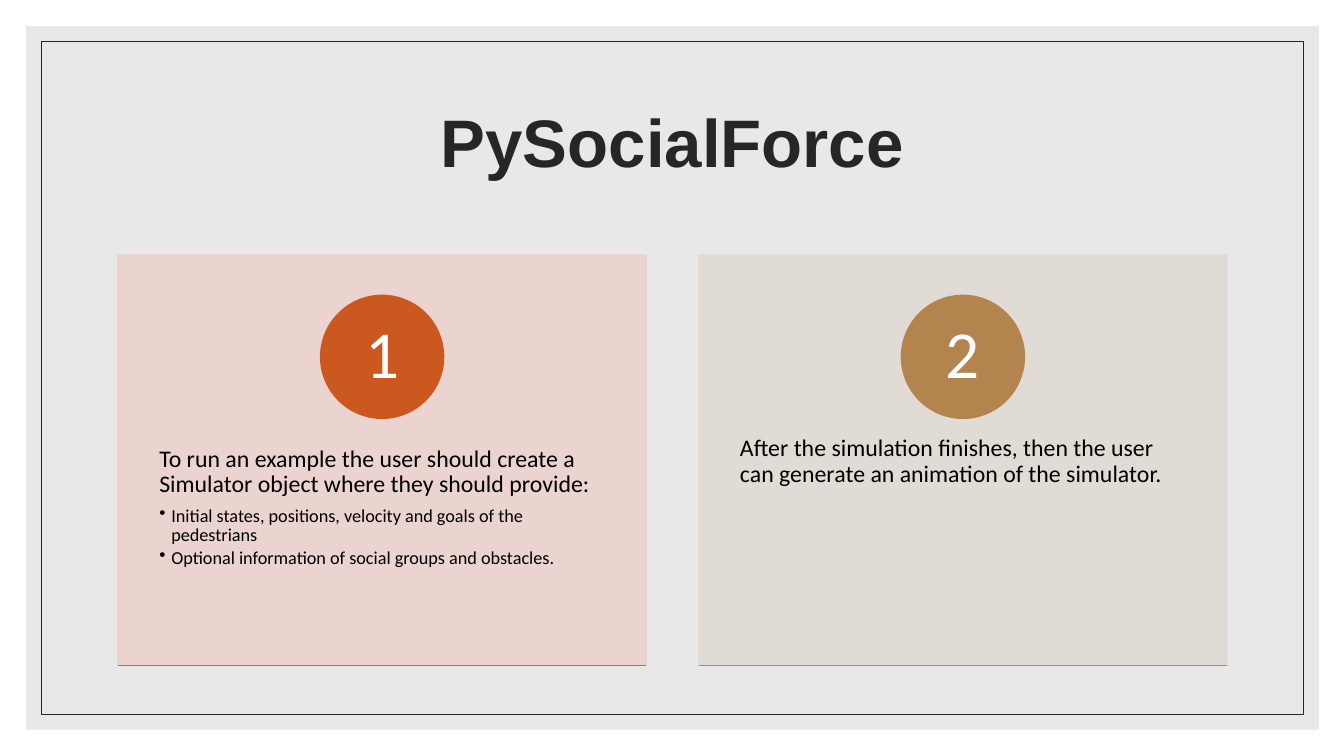
import pptx
import pptx.dml.color
import pptx.enum.shapes
import pptx.enum.text
import pptx.oxml
import pptx.oxml.ns
import pptx.util

Inches = pptx.util.Inches
Pt = pptx.util.Pt
ALIGN = pptx.enum.text.PP_ALIGN
ANCHOR = pptx.enum.text.MSO_ANCHOR
SHAPE = pptx.enum.shapes.MSO_SHAPE

COLOURS = {
    "white": "FFFFFF", "black": "000000", "ink": "262626", "panel": "D9D9D9",
    "pink": "ECD1CD", "orange": "CB581F", "copper": "C07235",
    "stone": "E0DBD4", "tan": "B3844E", "olive": "A28E6A",
}

STEPS = [
    ("1", "pink", "orange", "copper",
     "To run an example the user should create a Simulator object where they should provide:",
     ["Initial states, positions, velocity and goals of the pedestrians",
      "Optional information of social groups and obstacles."]),
    ("2", "stone", "tan", "olive",
     "After the simulation finishes, then the user can generate an animation of the simulator.",
     []),
]

CARD_LEFT, CARD_TOP, CARD_WIDTH, CARD_HEIGHT = 1.17, 2.53, 5.24, 4.07
CARD_PITCH = 5.76
CIRCLE_SIZE = 1.22


class SlideBuilder:
    def __init__(self, slide, font="Calibri"):
        self.slide = slide
        self.font = font

    def colour(self, name):
        return pptx.dml.color.RGBColor.from_string(COLOURS[name])

    def fade(self, part, alpha):
        for colour in part.iter(pptx.oxml.ns.qn("a:srgbClr")):
            colour.append(pptx.oxml.parse_xml(
                f'<a:alpha {pptx.oxml.ns.nsdecls("a")} val="{alpha * 1000}"/>'))

    def shape(self, kind, left, top, width, height, fill=None, line=None, weight=1, alpha=100):
        shape = self.slide.shapes.add_shape(
            kind, Inches(left), Inches(top), Inches(width), Inches(height))
        shape.shadow.inherit = False
        if fill:
            shape.fill.solid()
            shape.fill.fore_color.rgb = self.colour(fill)
        else:
            shape.fill.background()
        if line:
            shape.line.color.rgb = self.colour(line)
            shape.line.width = Pt(weight)
        else:
            shape.line.fill.background()
        if alpha < 100:
            self.fade(shape.element.spPr, alpha)
        return shape

    def rule(self, left, top, width, colour):
        line = self.slide.shapes.add_connector(
            pptx.enum.shapes.MSO_CONNECTOR.STRAIGHT,
            Inches(left), Inches(top), Inches(left + width), Inches(top))
        line.line.color.rgb = self.colour(colour)
        line.line.width = Pt(1)
        line.element.spPr.append(pptx.oxml.parse_xml(
            f'<a:effectLst {pptx.oxml.ns.nsdecls("a")}/>'))

    def text_box(self, left, top, width, height, inset_x, inset_y, anchor=ANCHOR.TOP):
        box = self.slide.shapes.add_textbox(
            Inches(left), Inches(top), Inches(width), Inches(height))
        self.frame(box.text_frame, inset_x, inset_y, anchor)
        return box

    def frame(self, frame, inset_x, inset_y, anchor):
        frame.word_wrap = True
        frame.vertical_anchor = anchor
        frame.margin_left = frame.margin_right = Inches(inset_x)
        frame.margin_top = frame.margin_bottom = Inches(inset_y)

    def paragraph(self, para, text, size, colour, align=ALIGN.LEFT, after=0, bold=False, font=None):
        para.text = text
        para.alignment = align
        para.line_spacing = 0.9
        para.space_after = Pt(after)
        for span in para.runs:
            span.font.name = font or self.font
            span.font.size = Pt(size)
            span.font.bold = bold
            span.font.color.rgb = self.colour(colour)

    def bullet(self, para, text):
        self.paragraph(para, text, 13, "black", after=2)
        para.level = 1
        props = para._p.get_or_add_pPr()
        props.set("marL", str(Inches(0.12)))
        props.set("indent", str(-Inches(0.12)))
        props.append(pptx.oxml.parse_xml(
            f'<a:buChar {pptx.oxml.ns.nsdecls("a")} char="•"/>'))

    def card(self, left, number, fill, accent, base, lead, points):
        self.shape(SHAPE.RECTANGLE, left, CARD_TOP, CARD_WIDTH, CARD_HEIGHT,
                   fill, fill, alpha=90)
        box = self.text_box(left, 4.07, CARD_WIDTH, 2.44, 0.41, 0.36)
        self.paragraph(box.text_frame.paragraphs[0], lead, 17, "black", after=6)
        for point in points:
            self.bullet(box.text_frame.add_paragraph(), point)
        circle = self.shape(SHAPE.OVAL, left + (CARD_WIDTH - CIRCLE_SIZE) / 2, 2.93,
                            CIRCLE_SIZE, CIRCLE_SIZE, accent, accent)
        self.frame(circle.text_frame, 0.1, 0.01, ANCHOR.MIDDLE)
        self.paragraph(circle.text_frame.paragraphs[0], number, 48, "white", ALIGN.CENTER)
        self.rule(left, CARD_TOP + CARD_HEIGHT, CARD_WIDTH, base)


def main():
    deck = pptx.Presentation()
    deck.slide_width = Inches(13.33)
    deck.slide_height = Inches(7.5)
    page = SlideBuilder(deck.slides.add_slide(deck.slide_layouts[6]))
    background = page.slide.background.fill
    background.solid()
    background.fore_color.rgb = page.colour("white")

    page.shape(SHAPE.RECTANGLE, 0.26, 0.26, 12.82, 6.98, "panel", alpha=60)
    page.shape(SHAPE.RECTANGLE, 0.41, 0.41, 12.52, 6.68, line="ink", weight=0.5)
    title = page.text_box(1.17, 0.7, 11, 1.5, 0.1, 0.05, ANCHOR.MIDDLE)
    page.paragraph(title.text_frame.paragraphs[0], "PySocialForce", 48, "ink",
                   ALIGN.CENTER, bold=True, font="Arial")
    for index, step in enumerate(STEPS):
        page.card(CARD_LEFT + index * CARD_PITCH, *step)
    deck.save("out.pptx")


if __name__ == "__main__":
    main()
